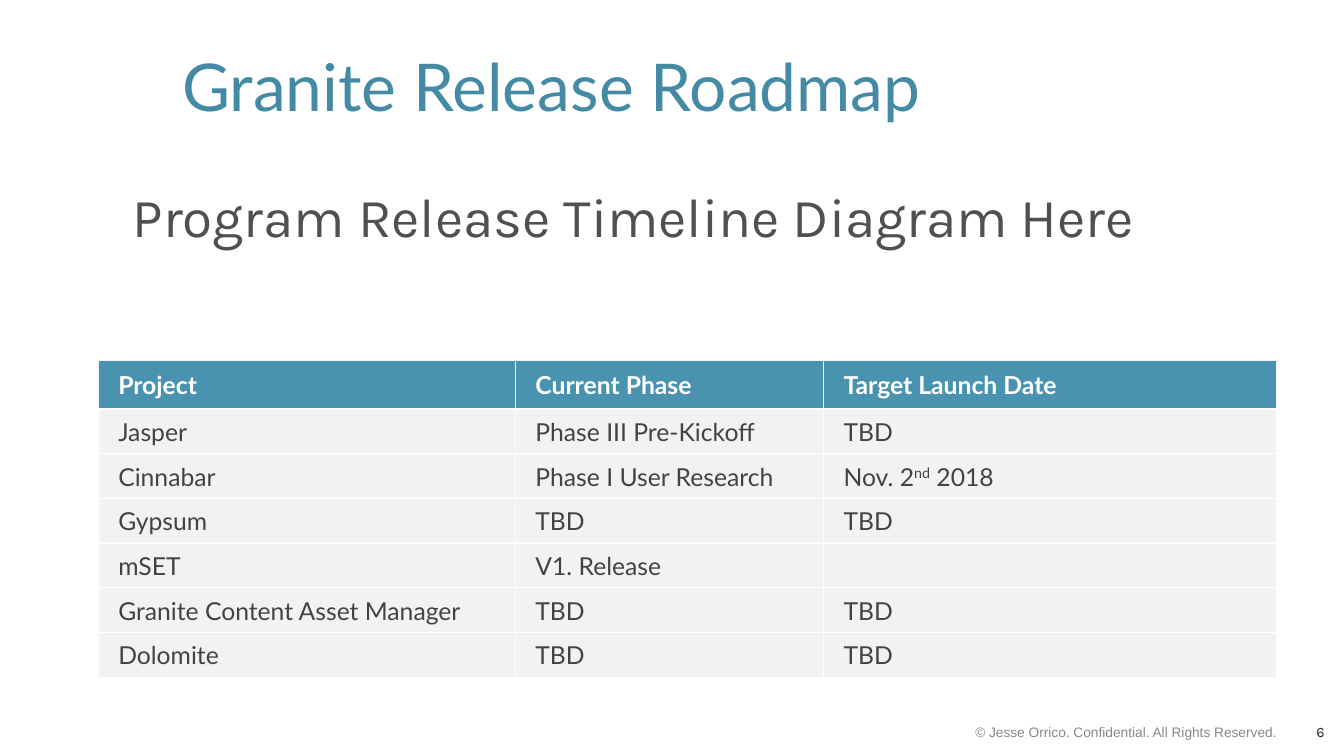
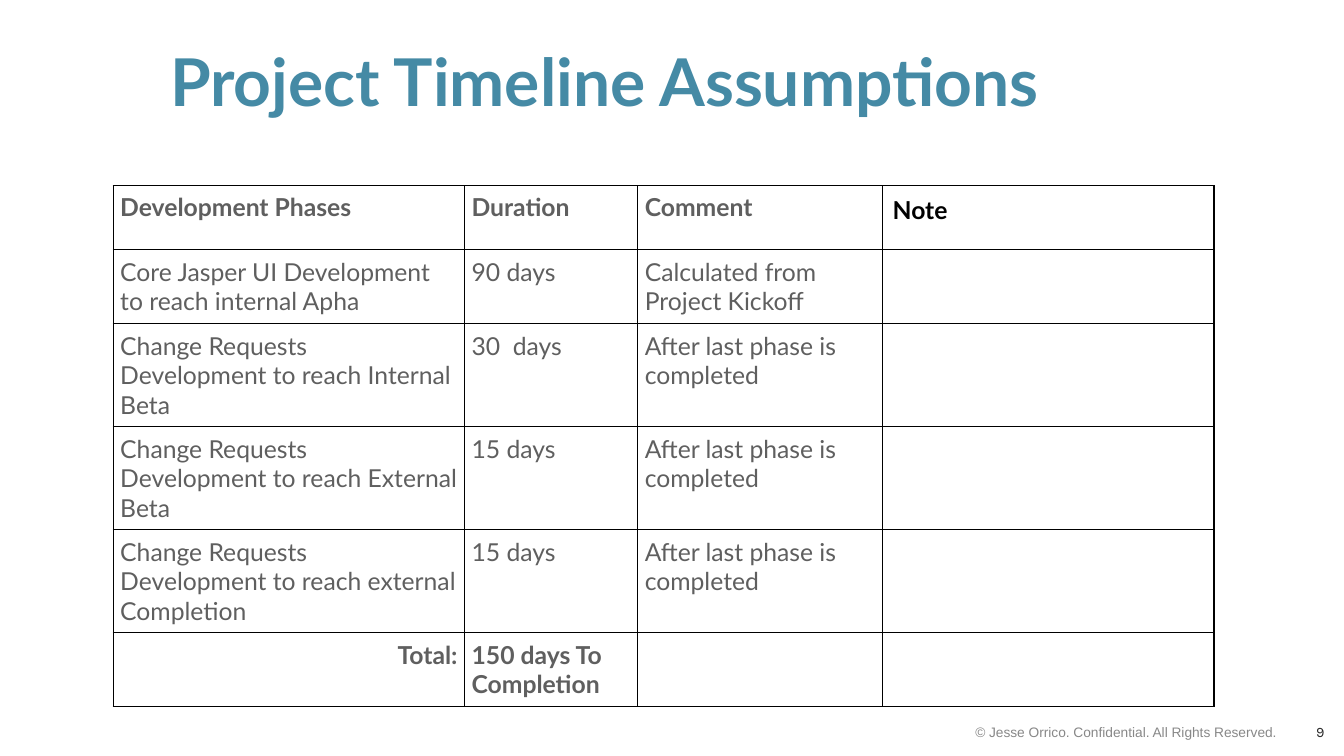
from lxml import etree
from pptx import Presentation
from pptx.dml.color import RGBColor
from pptx.enum.text import MSO_ANCHOR, PP_ALIGN
from pptx.oxml.ns import qn
from pptx.util import Cm, Pt

LEFT, RIGHT = PP_ALIGN.LEFT, PP_ALIGN.RIGHT
TOP, MIDDLE = MSO_ANCHOR.TOP, MSO_ANCHOR.MIDDLE
TITLE_ONLY = 5

COPYRIGHT = "© Jesse Orrico. Confidential. All Rights Reserved. "

RELEASES = [
    ["Project", "Current Phase", "Target Launch Date"],
    ["Jasper", "Phase III Pre-Kickoff", "TBD"],
    ["Cinnabar", "Phase I User Research", "Nov. 2nd 2018"],
    ["Gypsum", "TBD", "TBD"],
    ["mSET", "V1. Release", ""],
    ["Granite Content Asset Manager", "TBD", "TBD"],
    ["Dolomite", "TBD", "TBD"],
]

AFTER_LAST = "After last phase is completed"
PHASES = [
    ["Development Phases", "Duration", "Comment", "Note"],
    ["Core Jasper UI Development to reach internal Apha", "90 days",
     "Calculated from Project Kickoff", ""],
    ["Change Requests Development to reach Internal Beta", "30  days", AFTER_LAST, ""],
    ["Change Requests Development to reach External Beta", "15 days", AFTER_LAST, ""],
    ["Change Requests Development to reach external Completion", "15 days",
     AFTER_LAST, ""],
    ["Total:", "150 days To Completion", "", ""],
]


def rgb(color):
    return RGBColor.from_string(color)


class Deck:
    """Holds the shared style and the slide being filled."""

    title_color = "458AA5"
    header_fill = "4A93B0"
    row_fill = "F2F2F2"
    text_font = "Lato"
    accent_font = "Karla"

    def __init__(self):
        self.file = Presentation()
        self.file.slide_width = Cm(34.54)
        self.file.slide_height = Cm(19.43)
        self.page = None

    def add_page(self, number, title, title_left, bold=False, spacing=1.0):
        layout = self.file.slide_layouts[TITLE_ONLY]
        self.page = self.file.slides.add_slide(layout)
        self.text(str(number), 33.15, 18.31, 1.14, 1.02, 10.5, self.accent_font,
                  "282828", align=RIGHT, anchor=MIDDLE)
        self.text(COPYRIGHT, 21.72, 18.31, 11.43, 1.02, 10, "Arial",
                  "888888", align=RIGHT, anchor=MIDDLE)
        box = self.page.shapes.title
        box.left, box.top = Cm(title_left), Cm(0.91)
        box.width, box.height = Cm(27.51), Cm(2.54)
        self.fill_frame(box.text_frame, title, 48, self.text_font, self.title_color,
                        bold=bold, anchor=MIDDLE, spacing=spacing)

    def format_text(self, frame, size, font, color, bold=False, align=LEFT):
        for para in frame.paragraphs:
            para.alignment = align
            for span in para.runs:
                span.font.size = Pt(size)
                span.font.name = font
                span.font.bold = bold
                span.font.color.rgb = rgb(color)

    def fill_frame(self, frame, text, size, font, color, bold=False, align=LEFT,
                   anchor=TOP, spacing=1.0, insets=(0.25, 0.13)):
        frame.text = text
        frame.word_wrap = True
        frame.vertical_anchor = anchor
        frame.margin_left = frame.margin_right = Cm(insets[0])
        frame.margin_top = frame.margin_bottom = Cm(insets[1])
        frame.paragraphs[0].line_spacing = spacing
        self.format_text(frame, size, font, color, bold, align)

    def text(self, text, left, top, width, height, size, font, color, **layout):
        box = self.page.shapes.add_textbox(Cm(left), Cm(top), Cm(width), Cm(height))
        self.fill_frame(box.text_frame, text, size, font, color, **layout)

    def table(self, rows, left, top, widths, heights):
        """Adds an unstyled table holding the given texts."""
        frame = self.page.shapes.add_table(
            len(rows), len(widths), Cm(left), Cm(top),
            Cm(sum(widths)), Cm(sum(heights)))
        table = frame.table
        table.first_row = table.horz_banding = False
        for column, width in zip(table.columns, widths):
            column.width = Cm(width)
        for row, height, texts in zip(table.rows, heights, rows):
            row.height = Cm(height)
            for cell, text in zip(row.cells, texts):
                cell.text = text
        return table

    def cell(self, cell, color, border, fill=None, bold=False, align=LEFT,
             anchor=TOP, insets=(0.18, 0.18, 0.18, 0.18), bottom=None):
        """Formats a cell; insets run left, top, right, bottom."""
        (cell.margin_left, cell.margin_top,
         cell.margin_right, cell.margin_bottom) = map(Cm, insets)
        cell.vertical_anchor = anchor
        if fill:
            cell.fill.solid()
            cell.fill.fore_color.rgb = rgb(fill)
        else:
            cell.fill.background()
        self.format_text(cell.text_frame, 18, self.text_font, color, bold, align)
        self.borders(cell, border, bottom or border)

    def borders(self, cell, color, bottom):
        properties = cell._tc.get_or_add_tcPr()
        edges = {"a:lnL": color, "a:lnR": color, "a:lnT": color, "a:lnB": bottom}
        for position, (edge, edge_color) in enumerate(edges.items()):
            line = etree.Element(qn(edge), w=str(Pt(1)))
            solid = etree.SubElement(line, qn("a:solidFill"))
            etree.SubElement(solid, qn("a:srgbClr"), val=edge_color)
            properties.insert(position, line)

    def superscript(self, cell, raised):
        """Splits the cell's text around the raised letters and lifts them."""
        para = cell.text_frame.paragraphs[0]
        before, after = para.text.split(raised)
        para.text = before
        for part in (raised, after):
            para.add_run().text = part
        para.runs[1]._r.get_or_add_rPr().set("baseline", "30000")


def add_roadmap(deck):
    deck.add_page(6, "Granite Release Roadmap", 4.43)
    deck.text("Program Release Timeline Diagram Here", 3, 4.63, 27.51, 2.54, 40,
              deck.accent_font, "505050", spacing=0.9, insets=(0.41, 0.25))
    table = deck.table(RELEASES, 2.53, 9.27, [10.72, 7.92, 11.63],
                       [1.24] + [1.15] * 6)
    deck.superscript(table.cell(2, 2), "nd")
    header = dict(color="FFFFFF", border=deck.row_fill, bottom="FFFFFF",
                  fill=deck.header_fill, bold=True)
    body = dict(color="434343", border="FFFFFF", fill=deck.row_fill)
    for index, row in enumerate(table.rows):
        for cell in row.cells:
            deck.cell(cell, anchor=MIDDLE, insets=(0.51, 0.03, 0.74, 0),
                      **(body if index else header))


def add_assumptions(deck):
    deck.add_page(9, "Project Timeline Assumptions", 4.12, bold=True, spacing=0.9)
    # Two-line rows stay low so that the table ends above the footer.
    table = deck.table(PHASES, 2.91, 4.77, [9.03, 4.45, 6.3, 8.51],
                       [1.65, 1.9] + [2.64] * 3 + [1.9])
    last = len(PHASES) - 1
    for index, row in enumerate(table.rows):
        for column, cell in enumerate(row.cells):
            is_note = column == 3
            is_total_label = index == last and column == 0
            deck.cell(cell, "000000" if is_note else "5F5F5F", "000000",
                      bold=index in (0, last),
                      align=RIGHT if is_total_label else LEFT,
                      insets=[0.25 if is_note else 0.18] * 4)


def main():
    deck = Deck()
    add_roadmap(deck)
    add_assumptions(deck)
    deck.file.save("out.pptx")


if __name__ == "__main__":
    main()
